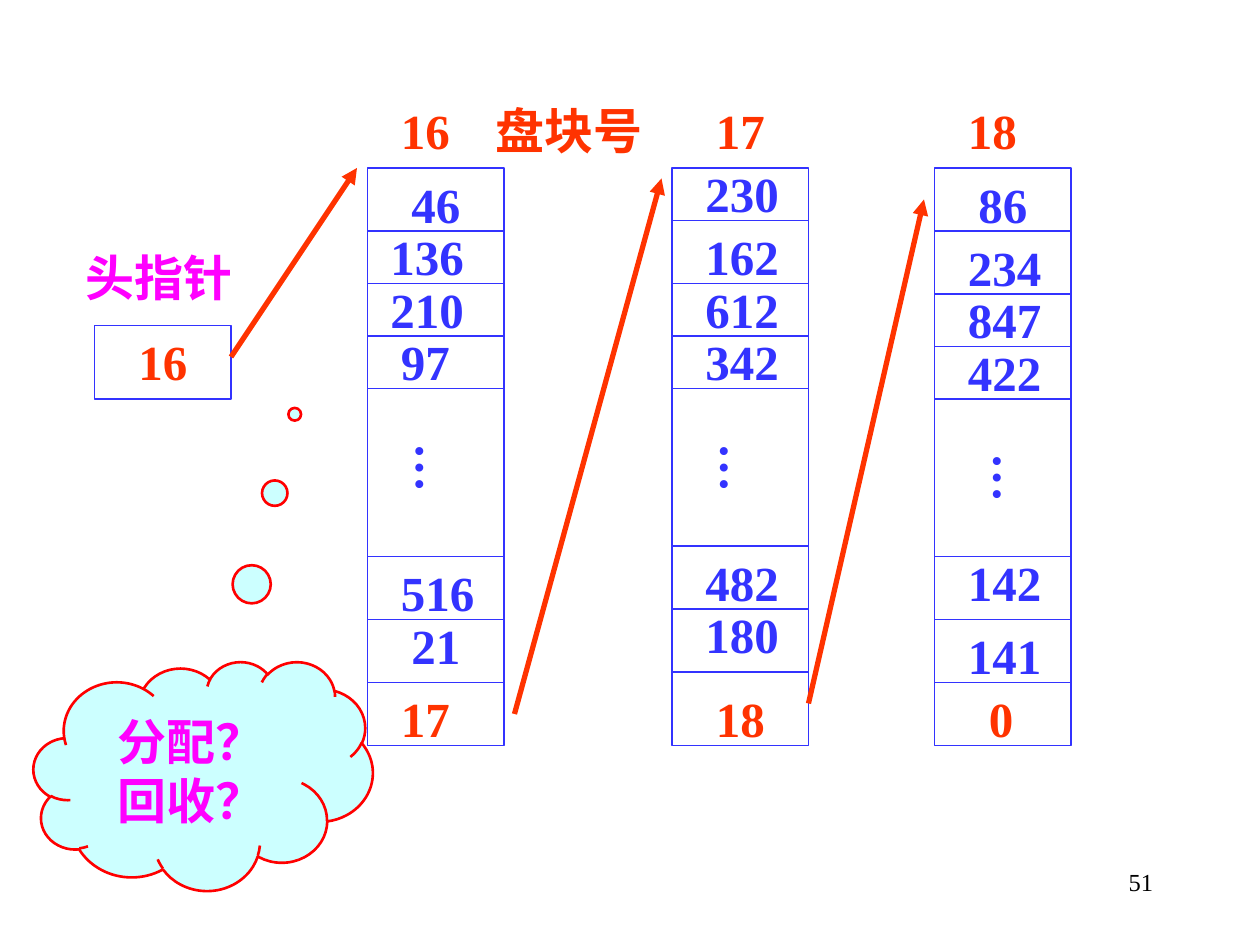
from dataclasses import dataclass

import lxml.etree
import pptx
import pptx.dml.color
import pptx.enum.shapes
import pptx.enum.text
import pptx.oxml.ns
import pptx.util

EMU_PER_PX = 7620  # 120 px to the inch

Color = pptx.dml.color.RGBColor
Shapes = pptx.enum.shapes.MSO_SHAPE
Align = pptx.enum.text.PP_ALIGN
Anchor = pptx.enum.text.MSO_ANCHOR
AutoSize = pptx.enum.text.MSO_AUTO_SIZE
Point = tuple[int, int]


@dataclass(frozen=True)
class Theme:
    font: str = "Times New Roman"
    body_size: int = 28
    page_size: int = 14
    frame_width: float = 0.75
    cloud_width: float = 1.5
    arrow_width: float = 3
    white: Color = Color(0xFF, 0xFF, 0xFF)
    black: Color = Color(0, 0, 0)
    blue: Color = Color(0x33, 0x33, 0xFF)
    orange: Color = Color(0xFF, 0x33, 0x00)
    magenta: Color = Color(0xFF, 0x00, 0xFF)
    red: Color = Color(0xFF, 0x00, 0x00)
    cyan: Color = Color(0xCC, 0xFF, 0xFF)


@dataclass(frozen=True)
class Entry:
    text: str
    left: int
    top: int


@dataclass(frozen=True)
class DiskBlock:
    """A block of free-block numbers; the last entry points to the next block."""
    left: int
    number: Entry
    rules: tuple[int, ...]
    entries: tuple[Entry, ...]


@dataclass(frozen=True)
class Link:
    start: Point
    end: Point


THEME = Theme()
BLOCK_TOP, BLOCK_WIDTH, BLOCK_HEIGHT = 160, 130, 550
LABEL_HEIGHT = 68
ELLIPSIS = "…"

BLOCKS = (
    DiskBlock(350, Entry("16", 370, 90), (220, 270, 320, 370, 530, 590, 650), (
        Entry("46", 380, 160), Entry("136", 360, 210), Entry("210", 360, 260),
        Entry("97", 370, 310), Entry(ELLIPSIS, 370, 410), Entry("516", 370, 530),
        Entry("21", 380, 580), Entry("17", 370, 650))),
    DiskBlock(640, Entry("17", 670, 90), (210, 270, 320, 370, 520, 580, 640), (
        Entry("230", 660, 150), Entry("162", 660, 210), Entry("612", 660, 260),
        Entry("342", 660, 310), Entry(ELLIPSIS, 660, 410), Entry("482", 660, 520),
        Entry("180", 660, 570), Entry("18", 670, 650))),
    DiskBlock(890, Entry("18", 910, 90), (220, 280, 330, 380, 530, 590, 650), (
        Entry("86", 920, 160), Entry("234", 910, 220), Entry("847", 910, 270),
        Entry("422", 910, 320), Entry(ELLIPSIS, 920, 420), Entry("142", 910, 520),
        Entry("141", 910, 590), Entry("0", 930, 650))),
)
LINKS = (
    Link((220, 340), (340, 160)),
    Link((490, 680), (630, 170)),
    Link((770, 670), (880, 190)),
)


def px(*lengths: int) -> list[pptx.util.Emu]:
    return [pptx.util.Emu(length * EMU_PER_PX) for length in lengths]


def write_text(frame, text: str, *, color: Color, size: int = THEME.body_size,
               bold: bool = True, align: Align = Align.LEFT) -> None:
    frame.text = text
    for paragraph in frame.paragraphs:
        paragraph.alignment = align
        font = paragraph.runs[0].font
        font.name, font.size, font.bold = THEME.font, pptx.util.Pt(size), bold
        font.color.rgb = color


def add_figure(slide, kind: Shapes, left: int, top: int, width: int, height: int,
               *, fill: Color, line: Color, line_width: float):
    figure = slide.shapes.add_shape(kind, *px(left, top, width, height))
    figure.shadow.inherit = False
    figure.fill.solid()
    figure.fill.fore_color.rgb = fill
    figure.line.color.rgb = line
    figure.line.width = pptx.util.Pt(line_width)
    return figure


def add_frame(slide, left: int, top: int, width: int, height: int) -> None:
    add_figure(slide, Shapes.RECTANGLE, left, top, width, height, fill=THEME.white,
               line=THEME.blue, line_width=THEME.frame_width)


def add_line(slide, start: Point, end: Point, *, color: Color, width: float,
             arrow: bool = False) -> None:
    straight = pptx.enum.shapes.MSO_CONNECTOR.STRAIGHT
    line = slide.shapes.add_connector(straight, *px(*start, *end))
    line.line.color.rgb = color
    line.line.width = pptx.util.Pt(width)
    if arrow:
        lxml.etree.SubElement(line.line._get_or_add_ln(),
                              pptx.oxml.ns.qn("a:tailEnd"), type="triangle")
    lxml.etree.SubElement(line._element.spPr, pptx.oxml.ns.qn("a:effectLst"))


def add_label(slide, entry: Entry, color: Color) -> None:
    """Add an unwrapped label; an ellipsis runs downwards."""
    vertical = entry.text == ELLIPSIS
    glyph_width = 70 / 3 if entry.text.isdigit() else 140 / 3
    width = 79 if vertical else round(24 + glyph_width * len(entry.text))
    height = 59 if vertical else LABEL_HEIGHT
    frame = slide.shapes.add_textbox(
        *px(entry.left, entry.top, width, height)).text_frame
    frame.word_wrap = False
    frame.auto_size = AutoSize.SHAPE_TO_FIT_TEXT
    if vertical:
        frame.margin_left, frame.margin_top, frame.margin_right, frame.margin_bottom = px(
            6, 12, 6, 12)
        frame._txBody.bodyPr.set("vert", "eaVert")
    write_text(frame, entry.text, color=color)


def add_block(slide, block: DiskBlock) -> None:
    add_frame(slide, block.left, BLOCK_TOP, BLOCK_WIDTH, BLOCK_HEIGHT)
    for rule in block.rules:
        add_line(slide, (block.left, rule), (block.left + BLOCK_WIDTH, rule),
                 color=THEME.blue, width=THEME.frame_width)
    *free_blocks, next_block = block.entries
    for entry in free_blocks:
        add_label(slide, entry, THEME.blue)
    for entry in (block.number, next_block):
        add_label(slide, entry, THEME.orange)


def add_question_cloud(slide) -> None:
    cloud = add_figure(slide, Shapes.CLOUD_CALLOUT, 32, 630, 323, 218, fill=THEME.cyan,
                       line=THEME.red, line_width=THEME.cloud_width)
    cloud.adjustments[0], cloud.adjustments[1] = 0.27, -1.58
    cloud.text_frame.vertical_anchor = Anchor.MIDDLE
    write_text(cloud.text_frame, "分配？\n回收？", color=THEME.magenta, align=Align.CENTER)


def add_page_number(slide) -> None:
    frame = slide.shapes.add_textbox(*px(860, 820, 250, 60)).text_frame
    frame.word_wrap = True
    write_text(frame, "51", color=THEME.black, size=THEME.page_size, bold=False,
               align=Align.RIGHT)


def main() -> None:
    deck = pptx.Presentation()
    deck.slide_width, deck.slide_height = px(1200, 900)
    slide = deck.slides.add_slide(deck.slide_layouts[6])

    add_page_number(slide)
    add_frame(slide, 90, 310, 130, 70)
    add_label(slide, Entry("头指针", 70, 230), THEME.magenta)
    add_label(slide, Entry("16", 120, 310), THEME.orange)
    for block in BLOCKS:
        add_block(slide, block)
    for link in LINKS:
        add_line(slide, link.start, link.end, color=THEME.orange,
                 width=THEME.arrow_width, arrow=True)
    add_label(slide, Entry("盘块号", 460, 90), THEME.orange)
    add_question_cloud(slide)
    deck.save("out.pptx")


if __name__ == "__main__":
    main()
